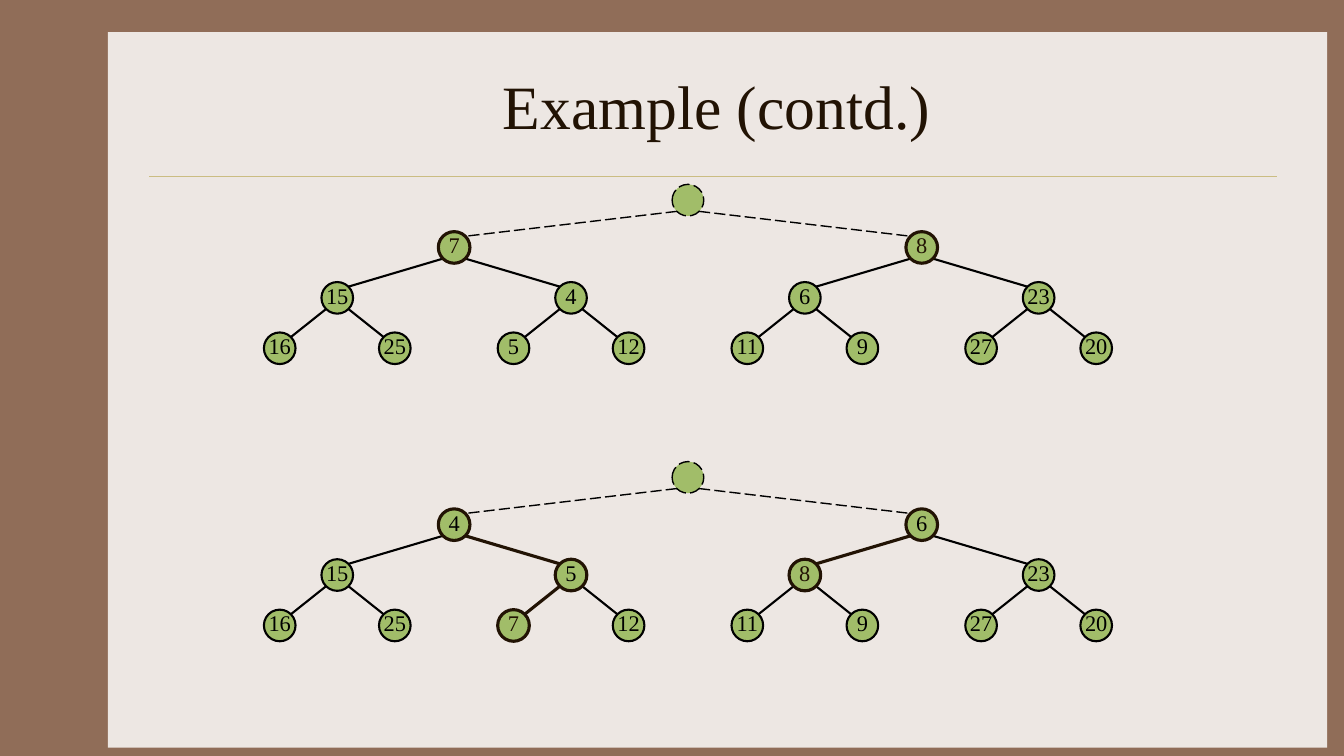
from dataclasses import dataclass

import pptx
import pptx.dml.color
import pptx.enum.dml
import pptx.enum.shapes
import pptx.enum.text
import pptx.oxml
import pptx.util

Pt = pptx.util.Pt
MSO_SHAPE = pptx.enum.shapes.MSO_SHAPE


@dataclass(frozen=True)
class Theme:
    frame: str = "906D58"
    panel: str = "EDE7E3"
    rule: str = "CBBD83"
    node: str = "A1BD69"
    ink: str = "000000"
    accent: str = "221304"
    font: str = "Times New Roman"
    title_size: float = 44
    key_size: float = 16
    rule_width: float = 0.25
    pending_width: float = 1
    edge_width: float = 1.5
    accent_width: float = 2.25


THEME = Theme()

NODE_SIZE = 22.6
JOIN = 8  # offset from a node's centre to its diagonal edge points
ROW_STEPS = (33.75, 36, 36)  # drop from each level to the next
SPREADS = (167, 83.5, 41.1)  # sideways shift from a parent to its child
SIFTED_KEYS = {7, 8}

# Keys in level order; the empty root is still to be filled
HEAP_BEFORE = (None, 7, 8, 15, 4, 6, 23, 16, 25, 5, 12, 11, 9, 27, 20)
HEAP_AFTER = (None, 4, 6, 15, 5, 8, 23, 16, 25, 7, 12, 11, 9, 27, 20)


def rgb(value):
    return pptx.dml.color.RGBColor.from_string(value)


def style_line(line, color, width, dashed=False):
    line.color.rgb = rgb(color)
    line.width = Pt(width)
    if dashed:
        line.dash_style = pptx.enum.dml.MSO_LINE.LONG_DASH


def add_line(slide, start, end, color, width, dashed=False):
    connector = slide.shapes.add_connector(
        pptx.enum.shapes.MSO_CONNECTOR.STRAIGHT, *(Pt(value) for value in (*start, *end)))
    style_line(connector.line, color, width, dashed)
    properties = connector._element.spPr
    properties.append(pptx.oxml.parse_xml(
        '<a:effectLst xmlns:a="http://schemas.openxmlformats.org/drawingml/2006/main"/>'))


def add_filled_shape(slide, kind, box, color):
    shape = slide.shapes.add_shape(kind, *(Pt(value) for value in box))
    shape.shadow.inherit = False
    shape.fill.solid()
    shape.fill.fore_color.rgb = rgb(color)
    return shape


def write_text(text_frame, text, size, color):
    text_frame.vertical_anchor = pptx.enum.text.MSO_ANCHOR.MIDDLE
    paragraph = text_frame.paragraphs[0]
    paragraph.alignment = pptx.enum.text.PP_ALIGN.CENTER
    run = paragraph.add_run()
    run.text = text
    run.font.name = THEME.font
    run.font.size = Pt(size)
    run.font.color.rgb = rgb(color)


def add_panel(slide, box):
    """Coloured frame, light panel and the rule below the title."""
    slide.background.fill.solid()
    slide.background.fill.fore_color.rgb = rgb(THEME.frame)
    panel = add_filled_shape(slide, MSO_SHAPE.RECTANGLE, box, THEME.panel)
    panel.line.fill.background()
    left, top, width, _ = box
    rule_y = top + 103
    add_line(slide, (left + 29.5, rule_y), (left + width - 36, rule_y),
             THEME.rule, THEME.rule_width)


def add_title(slide, box, text):
    title = slide.shapes.title
    title.left, title.top, title.width, title.height = (Pt(value) for value in box)
    write_text(title.text_frame, text, THEME.title_size, THEME.accent)
    slide.shapes._spTree.append(title._element)  # bring in front of the panel


def add_node(slide, center, key, highlighted):
    x, y = center
    box = (x - NODE_SIZE / 2, y - NODE_SIZE / 2, NODE_SIZE, NODE_SIZE)
    node = add_filled_shape(slide, MSO_SHAPE.OVAL, box, THEME.node)
    if key is None:
        style_line(node.line, THEME.ink, THEME.pending_width, dashed=True)
        return
    if highlighted:
        style_line(node.line, THEME.accent, THEME.accent_width)
    else:
        style_line(node.line, THEME.ink, THEME.edge_width)
    text_frame = node.text_frame
    text_frame.word_wrap = False
    text_frame.margin_left = text_frame.margin_right = text_frame.margin_top = 0
    text_frame.margin_bottom = Pt(3.6)
    color = THEME.accent if key in SIFTED_KEYS else THEME.ink
    write_text(text_frame, str(key), THEME.key_size, color)


def add_heap(slide, root_center, keys, highlighted):
    """Binary tree hung from its root; highlighted holds level-order indexes."""
    centers = [root_center]
    for index in range(1, len(keys)):
        parent = (index - 1) // 2
        level = (index + 1).bit_length() - 2
        side = -1 if index % 2 else 1
        parent_x, parent_y = centers[parent]
        x, y = parent_x + side * SPREADS[level], parent_y + ROW_STEPS[level]
        centers.append((x, y))

        # Edge from the parent's lower flank to the child's upper flank
        start = (parent_x + side * JOIN, parent_y + JOIN)
        end = (x - side * JOIN, y - JOIN)
        if keys[parent] is None:
            add_line(slide, start, end, THEME.ink, THEME.pending_width, dashed=True)
        elif {parent, index} <= highlighted:
            add_line(slide, start, end, THEME.accent, THEME.accent_width)
        else:
            add_line(slide, start, end, THEME.ink, THEME.edge_width)

    for index, (center, key) in enumerate(zip(centers, keys)):
        add_node(slide, center, key, index in highlighted)


def main():
    presentation = pptx.Presentation()
    presentation.slide_width, presentation.slide_height = Pt(960), Pt(540)
    slide = presentation.slides.add_slide(presentation.slide_layouts[5])

    add_panel(slide, (77, 23, 871, 511))
    add_title(slide, (112, 30, 800, 90), "Example (contd.)")

    # Heaps before and after sifting the two roots down
    add_heap(slide, (491.4, 143), HEAP_BEFORE, {1, 2})
    add_heap(slide, (491.4, 341), HEAP_AFTER, {1, 2, 4, 5, 9})

    presentation.save("out.pptx")


if __name__ == "__main__":
    main()
